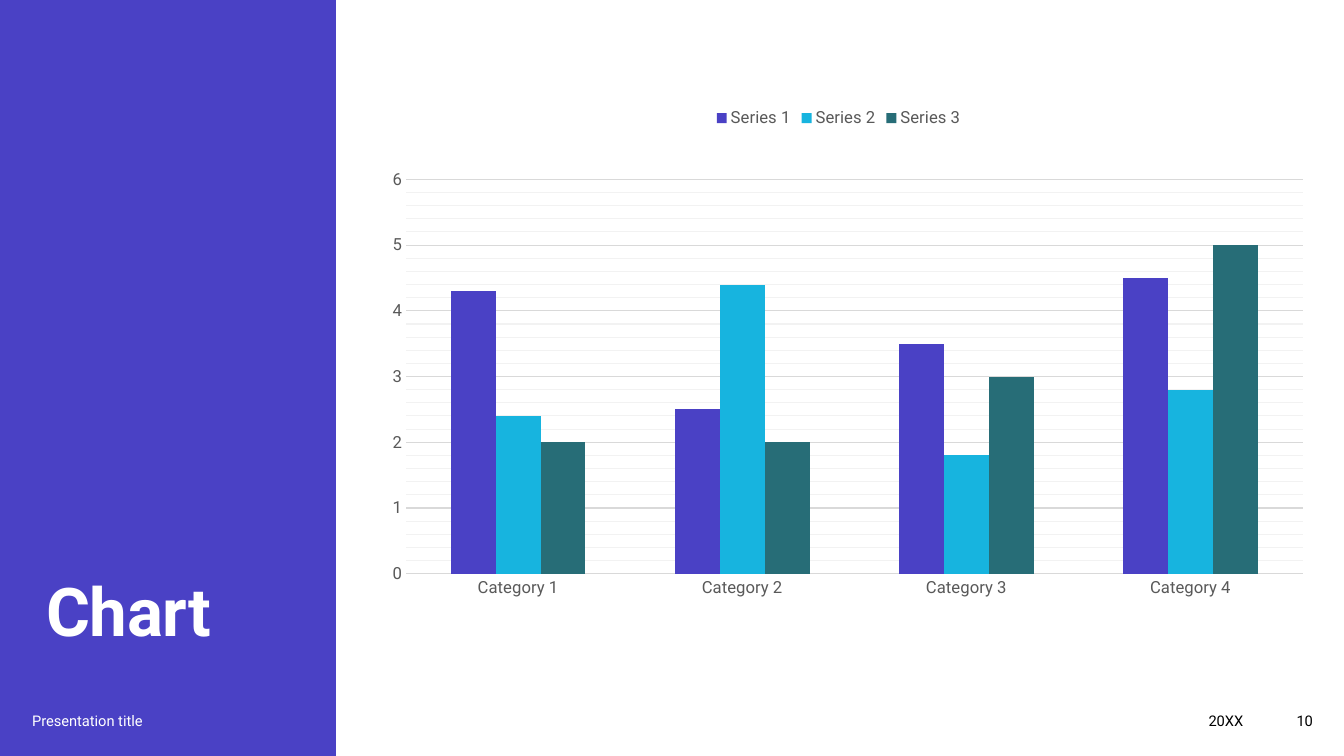
from dataclasses import dataclass

from lxml.etree import SubElement as Sub
from pptx import Presentation
from pptx.chart.data import CategoryChartData as Data
from pptx.dml.color import RGBColor as RGB
from pptx.enum.chart import XL_CHART_TYPE as Kind
from pptx.enum.chart import XL_LEGEND_POSITION as Spot
from pptx.enum.chart import XL_TICK_MARK as Tick
from pptx.enum.shapes import MSO_SHAPE as Form
from pptx.enum.text import MSO_ANCHOR as Anchor
from pptx.enum.text import PP_ALIGN as Align
from pptx.oxml.ns import qn
from pptx.util import Inches, Pt


@dataclass(frozen=True)
class Theme:
    font: str = "Roboto"
    panel: str = "4A41C5"
    bars: tuple = ("4A41C5", "17B4DF", "276D77")
    light: str = "FFFFFF"
    dark: str = "000000"
    label: str = "595959"
    major: str = "D9D9D9"
    minor: str = "F2F2F2"
    title: float = 48
    small: float = 10.5
    axis: float = 11.9
    hair: float = 0.75


THEME = Theme()
WIDE, HIGH = 13.33, 7.5
SIDE = WIDE / 4  # width of the title panel
CATS = [f"Category {n}" for n in range(1, 5)]
SERIES = {
    "Series 1": (4.3, 2.5, 3.5, 4.5),
    "Series 2": (2.4, 4.4, 1.8, 2.8),
    "Series 3": (2, 2, 3, 5),
}
PLOT = {"x": 0.044, "y": 0.158, "w": 0.945, "h": 0.754}  # shares of the chart


def inch(box):
    return [Inches(v) for v in box]


def style(font, size, color, bold=False):
    font.name, font.size, font.bold = THEME.font, Pt(size), bold
    font.color.rgb = RGB.from_string(color)


def rule(line, color):
    line.width = Pt(THEME.hair)
    line.color.rgb = RGB.from_string(color)


def write(slide, box, text, size, color, bold=False,
          anchor=Anchor.MIDDLE, align=Align.LEFT):
    frame = slide.shapes.add_textbox(*inch(box)).text_frame
    frame.word_wrap = True
    frame.vertical_anchor = anchor
    frame.text = text
    para = frame.paragraphs[0]
    para.alignment = align
    style(para.runs[0].font, size, color, bold)
    return para.runs[0]


def side(slide, box):
    """Coloured panel with the slide title at its foot."""
    left, top, wide, high = box
    panel = slide.shapes.add_shape(Form.RECTANGLE, *inch(box))
    panel.shadow.inherit = False
    panel.fill.solid()
    panel.fill.fore_color.rgb = RGB.from_string(THEME.panel)
    panel.line.fill.background()
    area = (left + 0.36, top + 0.96, wide - 0.72, high - 1.96)
    run = write(slide, area, "Chart", THEME.title, THEME.light, True,
                Anchor.BOTTOM)
    run.font._element.set("spc", "-20")


def place(chart):
    """Fix the inner plot area by shares of the chart."""
    area = chart._chartSpace.chart.plotArea
    for old in area.findall(qn("c:layout")):
        area.remove(old)
    frame = Sub(area, qn("c:layout"))
    area.insert(0, frame)
    spot = Sub(frame, qn("c:manualLayout"))
    Sub(spot, qn("c:layoutTarget")).set("val", "inner")
    for key in "xy":
        Sub(spot, qn(f"c:{key}Mode")).set("val", "edge")
    for key, share in PLOT.items():
        Sub(spot, qn(f"c:{key}")).set("val", str(share))


def fine(axis):
    """Colour the minor gridlines."""
    grid = axis._element.find(qn("c:minorGridlines"))
    line = Sub(Sub(grid, qn("c:spPr")), qn("a:ln"))
    line.set("w", str(int(Pt(THEME.hair))))
    Sub(Sub(line, qn("a:solidFill")), qn("a:srgbClr")).set("val", THEME.minor)


def graph(slide, box):
    """Clustered columns with a legend on top."""
    data = Data()
    data.categories = CATS
    for name, vals in SERIES.items():
        data.add_series(name, vals)
    chart = slide.shapes.add_chart(
        Kind.COLUMN_CLUSTERED, *inch(box), data).chart
    style(chart.font, 10, THEME.dark)
    chart.has_title = False

    # Legend
    chart.has_legend = True
    chart.legend.position = Spot.TOP
    chart.legend.include_in_layout = False
    style(chart.legend.font, THEME.axis, THEME.label)

    # Bars
    plot = chart.plots[0]
    plot.vary_by_categories = False
    plot.gap_width, plot.overlap = 199, 0
    for bar, color in zip(plot.series, THEME.bars):
        bar.format.fill.solid()
        bar.format.fill.fore_color.rgb = RGB.from_string(color)

    # Axes and grid
    cat, val = chart.category_axis, chart.value_axis
    for axis in (cat, val):
        axis.major_tick_mark = axis.minor_tick_mark = Tick.NONE
        style(axis.tick_labels.font, THEME.axis, THEME.label)
    rule(cat.format.line, THEME.major)
    val.format.line.fill.background()
    val.minimum_scale, val.maximum_scale = 0, 6
    val.major_unit, val.minor_unit = 1, 0.2
    val.has_major_gridlines = val.has_minor_gridlines = True
    rule(val.major_gridlines.format.line, THEME.major)
    fine(val)
    place(chart)


def footer(slide, box):
    """Deck name on the panel, date and page number at the right."""
    left, top, wide, high = box
    page, date = 0.69, 4.76
    edge = left + wide - page
    write(slide, (left, top, 3.03, high), "Presentation title",
          THEME.small, THEME.light)
    for x, span, text in ((edge - date, date, "20XX"), (edge, page, "10")):
        write(slide, (x, top, span, high), text, THEME.small, THEME.dark,
              align=Align.RIGHT)


def main():
    deck = Presentation()
    deck.slide_width, deck.slide_height = Inches(WIDE), Inches(HIGH)
    slide = deck.slides.add_slide(deck.slide_layouts[6])
    side(slide, (0, 0, SIDE, HIGH))
    graph(slide, (SIDE + 0.28, 0.96, 9.41, 5.19))
    footer(slide, (0.22, 6.95, 12.9, 0.4))
    deck.save("out.pptx")


if __name__ == "__main__":
    main()
